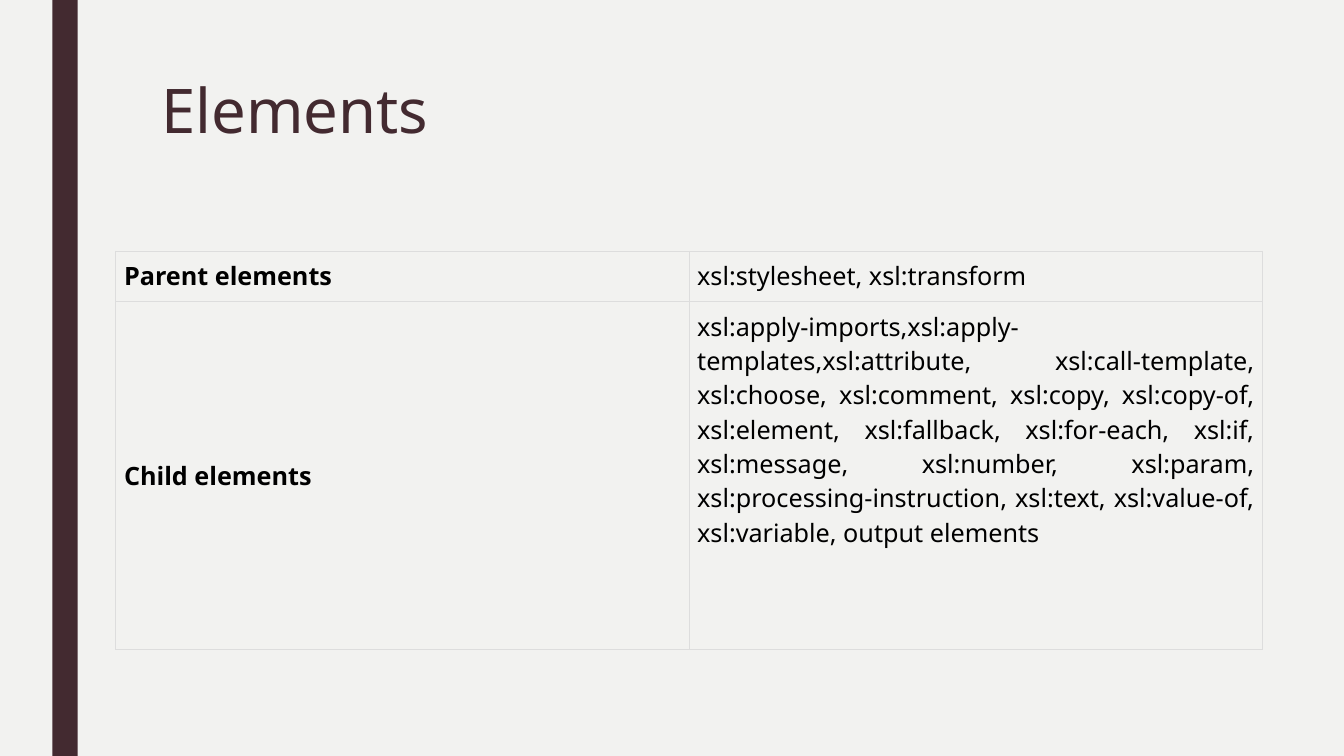
from dataclasses import dataclass

from lxml import etree
from pptx import Presentation
from pptx import util as u
from pptx.dml import color
from pptx.enum import shapes, text
from pptx.oxml import ns

COLORS = {"background": "F2F2F0", "accent": "432A30", "body": "000000", "border": "DDDDDD"}
FONT = "Noto Sans"
CELL_INSET = u.Inches(0.08)


@dataclass
class ElementRow:
    label: str
    elements: str
    height: float
    label_anchor: text.MSO_ANCHOR
    elements_anchor: text.MSO_ANCHOR


ROWS = [
    ElementRow("Parent elements", "xsl:stylesheet, xsl:transform", 0.5,
               text.MSO_ANCHOR.TOP, text.MSO_ANCHOR.MIDDLE),
    ElementRow("Child elements",
               "xsl:apply-imports,xsl:apply-templates,xsl:attribute, xsl:call-template, "
               "xsl:choose, xsl:comment, xsl:copy, xsl:copy-of, xsl:element, xsl:fallback, "
               "xsl:for-each, xsl:if, xsl:message, xsl:number, xsl:param, "
               "xsl:processing-instruction, xsl:text, xsl:value-of, xsl:variable, "
               "output elements", 3.45,
               text.MSO_ANCHOR.MIDDLE, text.MSO_ANCHOR.TOP),
]


def rgb(name: str) -> color.RGBColor:
    return color.RGBColor.from_string(COLORS[name])


def add_run(paragraph, content: str, size: float, color_name: str, bold: bool = False) -> None:
    run = paragraph.add_run()
    run.text = content
    run.font.name = FONT
    run.font.size = u.Pt(size)
    run.font.bold = bold
    run.font.color.rgb = rgb(color_name)


def add_borders(cell) -> None:
    properties = cell._tc.get_or_add_tcPr()
    for position, side in enumerate(("lnL", "lnR", "lnT", "lnB")):
        line = etree.Element(ns.qn(f"a:{side}"), w=str(u.Pt(0.75)))
        fill = etree.SubElement(line, ns.qn("a:solidFill"))
        etree.SubElement(fill, ns.qn("a:srgbClr"), val=COLORS["border"])
        properties.insert(position, line)


def fill_cell(cell, content: str, anchor: text.MSO_ANCHOR, bold: bool) -> None:
    cell.fill.background()
    cell.margin_left = cell.margin_right = CELL_INSET
    cell.margin_top = cell.margin_bottom = CELL_INSET
    cell.vertical_anchor = anchor
    paragraph = cell.text_frame.paragraphs[0]
    paragraph.alignment = text.PP_ALIGN.JUSTIFY
    add_run(paragraph, content, 18, "body", bold)
    add_borders(cell)


# Slide and background
deck = Presentation()
deck.slide_width, deck.slide_height = u.Inches(13.33), u.Inches(7.5)
slide = deck.slides.add_slide(deck.slide_layouts[6])
slide.background.fill.solid()
slide.background.fill.fore_color.rgb = rgb("background")

# Side bar
side_bar = slide.shapes.add_shape(shapes.MSO_SHAPE.RECTANGLE, u.Inches(0.52), 0,
                                  u.Inches(0.25), deck.slide_height)
side_bar.shadow.inherit = False
side_bar.fill.solid()
side_bar.fill.fore_color.rgb = rgb("accent")
side_bar.line.fill.background()

# Title
title = slide.shapes.add_textbox(u.Inches(1.5), u.Inches(0.75), u.Inches(10.5), u.Inches(1.62))
title.text_frame.word_wrap = True
heading = title.text_frame.paragraphs[0]
heading.line_spacing = 0.89
add_run(heading, "Elements", 44, "accent")

# Table of parent and child elements
element_table = slide.shapes.add_table(
    len(ROWS), 2, u.Inches(1.15), u.Inches(2.49), u.Inches(11.37),
    u.Inches(sum(row.height for row in ROWS))).table
element_table.first_row = element_table.horz_banding = False
for index, row in enumerate(ROWS):
    element_table.rows[index].height = u.Inches(row.height)
    fill_cell(element_table.cell(index, 0), row.label, row.label_anchor, True)
    fill_cell(element_table.cell(index, 1), row.elements, row.elements_anchor, False)

deck.save("out.pptx")
